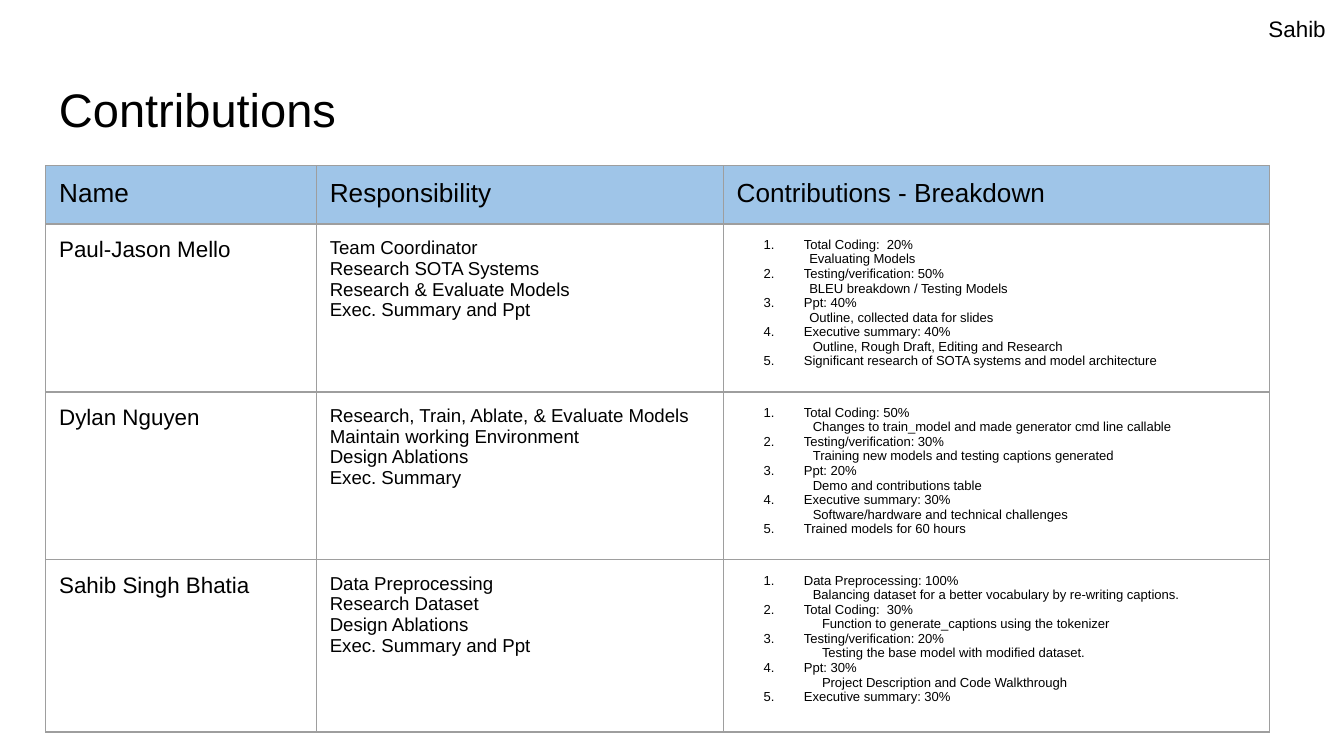
"""Build the Contributions slide with its table of people and tasks."""
from dataclasses import dataclass

from lxml.etree import SubElement
from pptx import Presentation
from pptx.dml.color import RGBColor
from pptx.enum.text import MSO_ANCHOR as Anchor
from pptx.oxml.ns import qn
from pptx.util import Pt

COLORS = {"text": "000000", "header": "9FC5E8", "border": "9E9E9E"}
FONT = "Arial"
INSET = Pt(7.2)
COLUMN_WIDTHS = (145, 218, 292.5)
ROW_HEIGHTS = (30.2, 84.5, 84.5, 92.2)
HEADERS = ("Name", "Responsibility", "Contributions - Breakdown")


@dataclass(frozen=True)
class Task:
    title: str
    detail: str = ""
    indent: float = 40.8


@dataclass(frozen=True)
class Member:
    name: str
    duties: tuple[str, ...]
    tasks: tuple[Task, ...]


MEMBERS = (
    Member(
        "Paul-Jason Mello",
        ("Team Coordinator", "Research SOTA Systems",
         "Research & Evaluate Models", "Exec. Summary and Ppt"),
        (Task("Total Coding:  20%", "Evaluating Models", 38.9),
         Task("Testing/verification: 50%", "BLEU breakdown / Testing Models", 38.9),
         Task("Ppt: 40%", "Outline, collected data for slides", 38.9),
         Task("Executive summary: 40%", "Outline, Rough Draft, Editing and Research"),
         Task("Significant research of SOTA systems and model architecture")),
    ),
    Member(
        "Dylan Nguyen",
        ("Research, Train, Ablate, & Evaluate Models", "Maintain working Environment",
         "Design Ablations", "Exec. Summary"),
        (Task("Total Coding: 50%", "Changes to train_model and made generator cmd line callable"),
         Task("Testing/verification: 30%", "Training new models and testing captions generated"),
         Task("Ppt: 20%", "Demo and contributions table"),
         Task("Executive summary: 30%", "Software/hardware and technical challenges"),
         Task("Trained models for 60 hours")),
    ),
    Member(
        "Sahib Singh Bhatia",
        ("Data Preprocessing", "Research Dataset", "Design Ablations", "Exec. Summary and Ppt"),
        (Task("Data Preprocessing: 100%",
              "Balancing dataset for a better vocabulary by re-writing captions."),
         Task("Total Coding:  30%", "Function to generate_captions using the tokenizer", 45.7),
         Task("Testing/verification: 20%", "Testing the base model with modified dataset.", 45.7),
         Task("Ppt: 30%", "Project Description and Code Walkthrough", 45.7),
         Task("Executive summary: 30%")),
    ),
)


def write_text(frame, text: str, *, size: float, margin: float = 0,
               hanging: float = 0, number: int = 0) -> None:
    """Write one paragraph, using the empty first one when it is free."""
    first = frame.paragraphs[0]
    paragraph = frame.add_paragraph() if first.runs else first
    run = paragraph.add_run()
    run.text = text
    run.font.name, run.font.size = FONT, Pt(size)
    run.font.color.rgb = RGBColor.from_string(COLORS["text"])
    properties = paragraph._p.get_or_add_pPr()
    properties.set("marL", str(Pt(margin)))
    properties.set("indent", str(Pt(-hanging)))
    if number:
        color = SubElement(properties, qn("a:buClr"))
        SubElement(color, qn("a:srgbClr"), val=COLORS["text"])
        SubElement(properties, qn("a:buFont"), typeface=FONT)
        SubElement(properties, qn("a:buAutoNum"), type="arabicPeriod", startAt=str(number))
    else:
        SubElement(properties, qn("a:buNone"))


def add_label(slide, text: str, left: float, top: float, width: float, height: float, *,
              size: float, anchor: Anchor = Anchor.TOP, wrap: bool = True) -> None:
    """Add a text box holding one line."""
    frame = slide.shapes.add_textbox(Pt(left), Pt(top), Pt(width), Pt(height)).text_frame
    frame.margin_left = frame.margin_right = frame.margin_top = frame.margin_bottom = INSET
    frame.word_wrap = wrap
    frame.vertical_anchor = anchor
    write_text(frame, text, size=size)


def style_cell(cell, fill: str = "") -> None:
    """Set the insets, borders and fill of a cell."""
    cell.margin_left = cell.margin_right = cell.margin_top = cell.margin_bottom = INSET
    properties = cell._tc.get_or_add_tcPr()
    for side in ("lnL", "lnR", "lnT", "lnB"):
        line = SubElement(properties, qn(f"a:{side}"), w=str(Pt(0.75)))
        solid = SubElement(line, qn("a:solidFill"))
        SubElement(solid, qn("a:srgbClr"), val=COLORS["border"])
    if fill:
        cell.fill.solid()
        cell.fill.fore_color.rgb = RGBColor.from_string(fill)
    else:
        cell.fill.background()


def fill_member_row(cells, member: Member) -> None:
    """Write a member's name, duties and numbered tasks."""
    name, duties, breakdown = (cell.text_frame for cell in cells)
    write_text(name, member.name, size=12)
    for duty in member.duties:
        write_text(duties, duty, size=10)
    for number, task in enumerate(member.tasks, 1):
        write_text(breakdown, task.title, size=7, margin=36, hanging=21.6, number=number)
        if task.detail:
            write_text(breakdown, task.detail, size=7, margin=task.indent)


def add_contributions_table(slide, left: float, top: float) -> None:
    """Add the table of all members below its header row."""
    table = slide.shapes.add_table(
        len(ROW_HEIGHTS), len(COLUMN_WIDTHS), Pt(left), Pt(top),
        Pt(sum(COLUMN_WIDTHS)), Pt(sum(ROW_HEIGHTS))).table
    table.first_row = table.horz_banding = False
    for column, width in zip(table.columns, COLUMN_WIDTHS):
        column.width = Pt(width)
    for index, (row, height) in enumerate(zip(table.rows, ROW_HEIGHTS)):
        row.height = Pt(height)
        for cell in row.cells:
            style_cell(cell, "" if index else COLORS["header"])
    for cell, header in zip(table.rows[0].cells, HEADERS):
        write_text(cell.text_frame, header, size=14)
    for index, member in enumerate(MEMBERS, 1):
        fill_member_row(table.rows[index].cells, member)


def main() -> None:
    """Build and save the presentation."""
    presentation = Presentation()
    presentation.slide_width, presentation.slide_height = Pt(720), Pt(405)
    slide = presentation.slides.add_slide(presentation.slide_layouts[6])
    add_label(slide, "Contributions", 24.5, 35.3, 671, 45.4, size=25.2, anchor=Anchor.BOTTOM)
    add_contributions_table(slide, 24.5, 88.8)
    add_label(slide, "Sahib", 672.5, 0.7, 47.5, 28.8, size=12, wrap=False)
    presentation.save("out.pptx")


if __name__ == "__main__":
    main()
